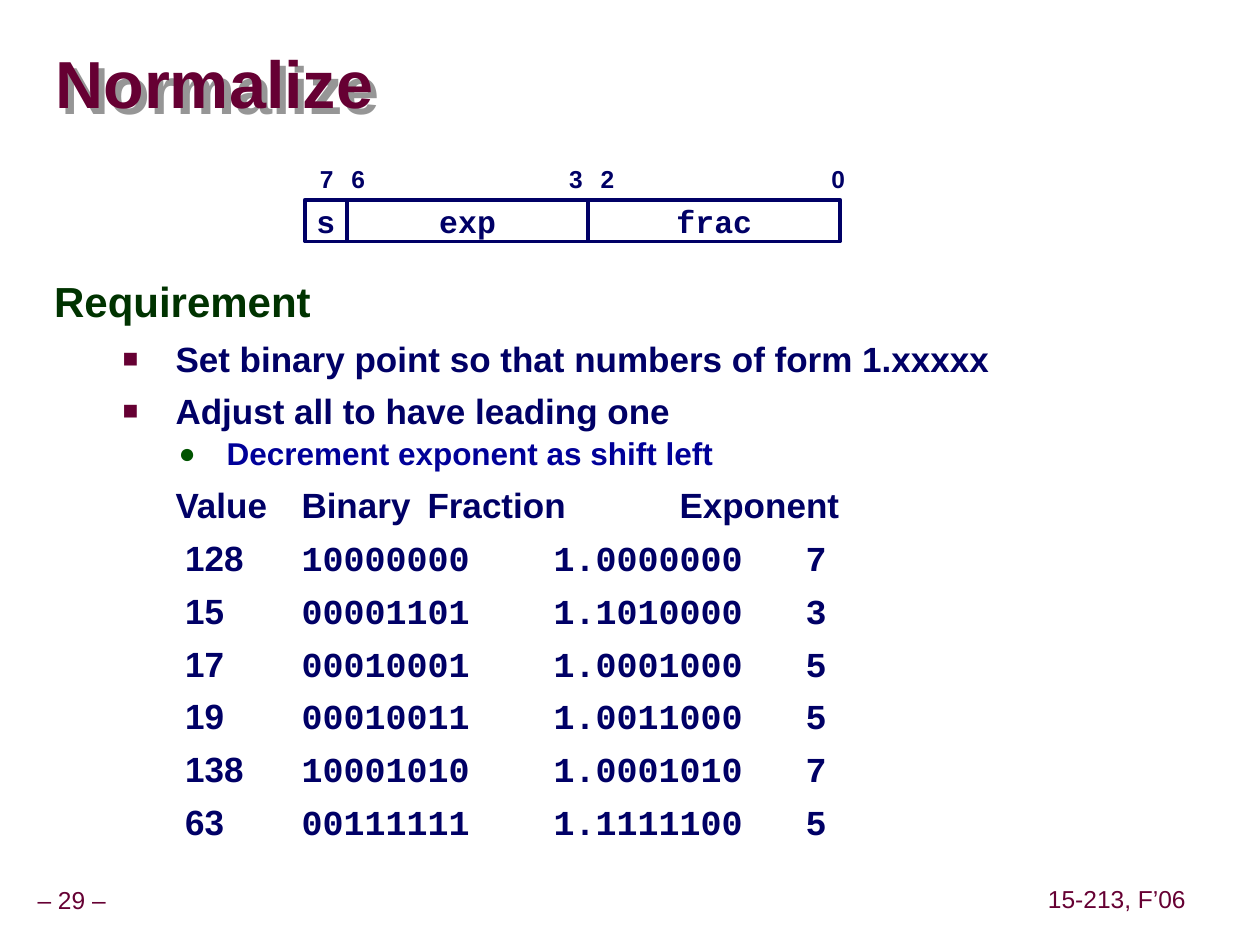
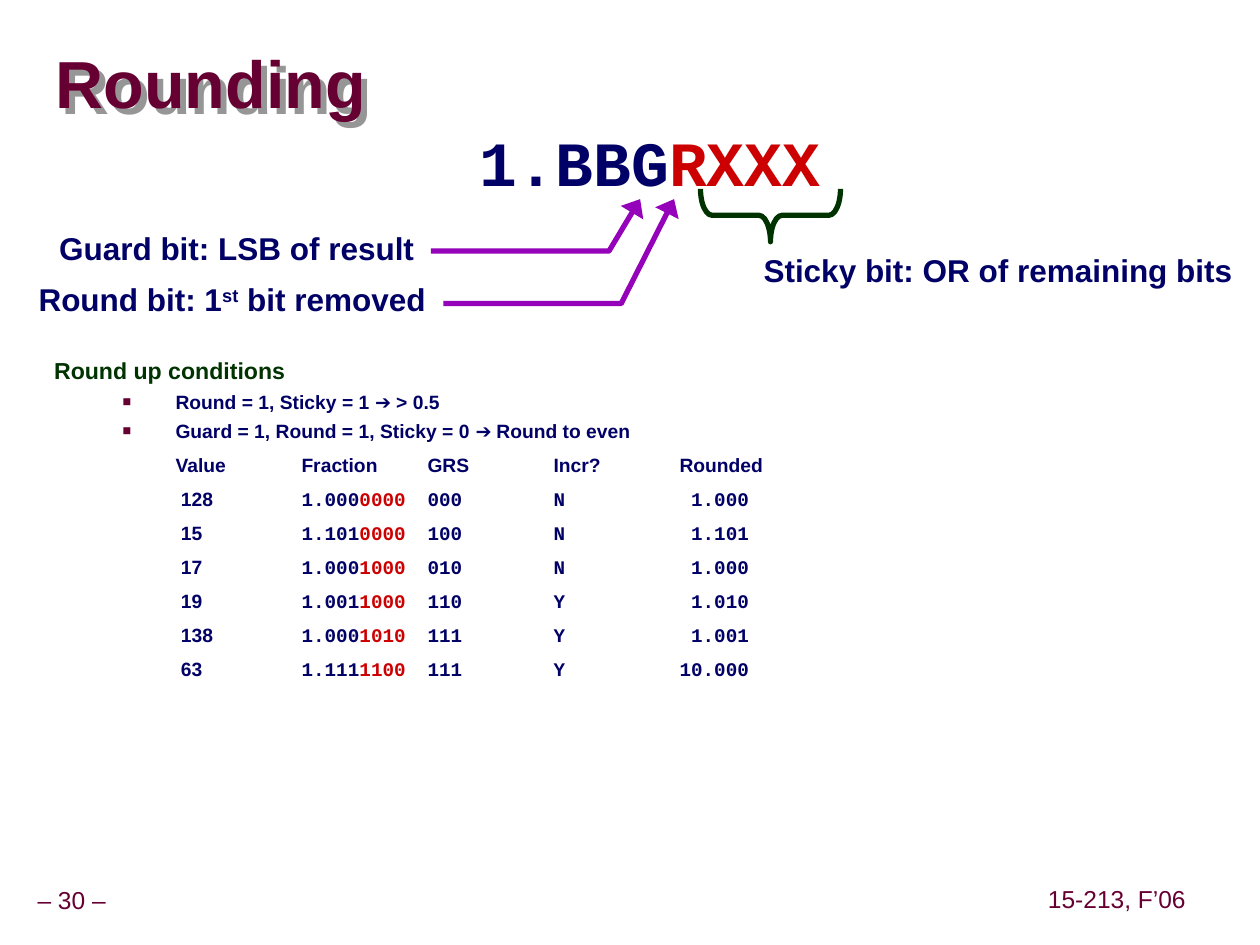
from lxml import etree
from pptx import Presentation
from pptx.dml.color import RGBColor
from pptx.enum import shapes, text
from pptx.oxml.ns import qn
from pptx.util import Pt

# Shared look
WINE, NAVY, GREEN, RED = "660033", "000066", "003300", "CC0000"
BLUE, LEAF, VIOLET, WHITE, GRAY = "000099", "005400", "9403B9", "FFFFFF", "969696"
SANS, MONO = "Arial", "Courier New"
LEFT, MID, RIGHT = text.PP_ALIGN.LEFT, text.PP_ALIGN.CENTER, text.PP_ALIGN.RIGHT
COURSE = "15-213, F’06"

# Slide 1: byte fields (label, width), bit numbers (digit, left), normalized values
FIELDS = [("s", 24), ("exp", 138), ("frac", 144)]
BITS = [("7", 175.7), ("6", 193.7), ("3", 318.2), ("2", 336.2), ("0", 468)]
GOALS = ["Set binary point so that numbers of form 1.xxxxx",
         "Adjust all to have leading one"]
STEP = "Decrement exponent as shift left"
NORM_HEAD = ["Value", "Binary", "Fraction", "Exponent"]
NORMS = [
    ("128", "10000000", "1.0000000", "7"),
    ("15", "00001101", "1.1010000", "3"),
    ("17", "00010001", "1.0001000", "5"),
    ("19", "00010011", "1.0011000", "5"),
    ("138", "10001010", "1.0001010", "7"),
    ("63", "00111111", "1.1111100", "5"),
]

# Slide 2: rounding rules, and rows of value, kept bits, cut bits, GRS, incr, rounded
RULES = ["Round = 1, Sticky = 1 ➔ > 0.5",
         "Guard = 1, Round = 1, Sticky = 0 ➔ Round to even"]
ROUND_HEAD = ["Value", "Fraction", "GRS", "Incr?", "Rounded"]
ROUNDS = [
    ("128", "1.000", "0000", "000", "N", " 1.000"),
    ("15", "1.101", "0000", "100", "N", " 1.101"),
    ("17", "1.000", "1000", "010", "N", " 1.000"),
    ("19", "1.001", "1000", "110", "Y", " 1.010"),
    ("138", "1.000", "1010", "111", "Y", " 1.001"),
    ("63", "1.111", "1100", "111", "Y", "10.000"),
]
ARROWS = [
    [(246.2, 143.5), (348, 143.5), (365.8, 113.8)],
    [(253.4, 173.5), (355, 173.5), (385.2, 113.8)],
]


def paint(hue):
    return RGBColor.from_string(hue)


def node(parent, tag, **attrs):
    return etree.SubElement(parent, qn(tag), {k: str(v) for k, v in attrs.items()})


def write(para, runs, size=18, hue=NAVY, font=SANS, bold=True, align=LEFT,
          line=1, before=0, indent=0, hang=0, mark=None):
    """Fill a paragraph; runs is a string or a list of (text, overrides)."""
    props = para._p.get_or_add_pPr()
    props.set("marL", str(Pt(indent)))
    props.set("indent", str(-Pt(hang)))
    props.set("defTabSz", str(Pt(72)))
    para.alignment, para.line_spacing = align, line
    para.space_before = Pt(before)
    if mark:
        sign, tint, share = mark
        node(node(props, "a:buClr"), "a:srgbClr", val=tint)
        node(props, "a:buSzPct", val=share * 1000)
        node(props, "a:buFont", typeface=SANS)
        node(props, "a:buChar", char=sign)
    else:
        node(props, "a:buNone")
    for words, own in ([(runs, {})] if isinstance(runs, str) else runs):
        run = para.add_run()
        run.text = words
        run.font.size, run.font.bold = Pt(size), bold
        run.font.name = own.get("font", font)
        run.font.color.rgb = paint(own.get("hue", hue))
        if "lift" in own:
            run._r.get_or_add_rPr().set("baseline", str(own["lift"] * 1000))


def setup(shape, pad=(3.6, 3.6), wrap=False, anchor=text.MSO_ANCHOR.TOP):
    frame = shape.text_frame
    frame.margin_left = frame.margin_right = Pt(pad[0])
    frame.margin_top = frame.margin_bottom = Pt(pad[1])
    frame.word_wrap, frame.vertical_anchor = wrap, anchor
    return frame


def label(slide, box, runs, pad=(3.6, 3.6), anchor=text.MSO_ANCHOR.TOP, **fmt):
    shape = slide.shapes.add_textbox(*map(Pt, box))
    write(setup(shape, pad, anchor=anchor).paragraphs[0], runs, **fmt)
    return shape


def body(slide, box, paras):
    frame = setup(slide.shapes.add_textbox(*map(Pt, box)), (7.2, 3.6), wrap=True)
    for i, (runs, fmt) in enumerate(paras):
        write(frame.add_paragraph() if i else frame.paragraphs[0], runs, **fmt)


def stroke(shape, hue, width):
    shape.shadow.inherit = False
    shape.line.color.rgb, shape.line.width = paint(hue), Pt(width)


def start(deck, title, number):
    """Add a slide with its shadowed title and footers."""
    slide = deck.slides.add_slide(deck.slide_layouts[6])
    mid = text.MSO_ANCHOR.MIDDLE
    foot = dict(size=14, hue=WINE, bold=False, align=MID, line=0.9, anchor=mid)
    label(slide, (5, 504, 72, 22.3), f"– {number} –", **foot)
    label(slide, (590, 503.3, 96.5, 22.3), COURSE, **foot)
    head = label(slide, (31.7, 19.4, 686, 61.2), title, pad=(0, 0), anchor=mid,
                 size=38, hue=WINE, line=0.87)
    head.text_frame.word_wrap = True
    glow = node(node(head._element.spPr, "a:effectLst"), "a:outerShdw",
                dist=Pt(5), dir=2700000, algn="ctr", rotWithShape=0)
    node(glow, "a:srgbClr", val=GRAY)
    return slide


def point(size, line):
    return dict(size=size, line=line, before=6.2, indent=69.4, hang=30.2,
                mark=("■", WINE, 75))


def row(size):
    return dict(size=size, before=6.2, indent=69.4)


def normalize(deck):
    slide = start(deck, "Normalize", 29)
    paras = [("Requirement", dict(size=24, hue=GREEN, line=0.85))]
    paras += [(goal, point(20, 1)) for goal in GOALS]
    paras.append((STEP, dict(size=18, hue=BLUE, line=0.97, before=2.2, indent=98.6,
                             hang=27.4, mark=("●", LEAF, 90))))
    paras.append(("\t".join(NORM_HEAD), row(20)))
    for value, *rest in NORMS:
        paras.append(([(f" {value}\t", {}), ("\t".join(rest), {"font": MONO})], row(20)))
    body(slide, (23.8, 158.4, 654.5, 321), paras)

    # Byte layout
    left = 174.2
    for name, width in FIELDS:
        cell = slide.shapes.add_shape(shapes.MSO_SHAPE.RECTANGLE,
                                      *map(Pt, (left, 114.2, width, 23.8)))
        cell.fill.solid()
        cell.fill.fore_color.rgb = paint(WHITE)
        stroke(cell, NAVY, 2)
        frame = setup(cell, (7.2, 3.6), anchor=text.MSO_ANCHOR.MIDDLE)
        write(frame.paragraphs[0], name, font=MONO, align=MID)
        left += width
    for digit, x in BITS:
        label(slide, (x, 90, 24, 24.5), digit, pad=(7.2, 3.6), size=14)


def rounding(deck):
    slide = start(deck, "Rounding", 30)
    paras = [("Round up conditions", dict(size=13.2, hue=GREEN, line=0.75))]
    paras += [(rule, point(11, 0.8)) for rule in RULES]
    paras.append(("\t".join(ROUND_HEAD), row(11)))
    for value, kept, cut, *rest in ROUNDS:
        paras.append(([(f" {value}\t", {}), (kept, {"font": MONO}),
                       (cut + "\t", {"font": MONO, "hue": RED}),
                       ("\t".join(rest), {"font": MONO})], row(11)))
    body(slide, (23.8, 203.8, 654.5, 275.8), paras)

    # Bit pattern and its labels, with room to stay on one line
    label(slide, (251.5, 72, 240, 46.1), [("1.BBG", {}), ("RXXX", {"hue": RED})],
          size=36, font=MONO, align=MID, line=0.9)
    label(slide, (10.4, 129.6, 230, 26.6), "Guard bit: LSB of result",
          align=RIGHT, line=0.9)
    label(slide, (1.9, 159.1, 245, 26.6),
          [("Round bit: 1", {}), ("st", {"lift": 30}), (" bit removed", {})],
          align=RIGHT, line=0.9)
    label(slide, (432.7, 142.6, 287, 26.6), "Sticky bit: OR of remaining bits", line=0.9)

    # Bent arrows
    for first, *rest in ARROWS:
        pen = slide.shapes.build_freeform(*map(Pt, first))
        pen.add_line_segments([(Pt(x), Pt(y)) for x, y in rest], close=False)
        arrow = pen.convert_to_shape()
        arrow.fill.background()
        stroke(arrow, VIOLET, 3)
        node(arrow.line._get_or_add_ln(), "a:tailEnd", type="triangle", w="lg", len="med")

    # Brace over the sticky bits
    brace = slide.shapes.add_shape(shapes.MSO_SHAPE.LEFT_BRACE,
                                   *map(Pt, (425.2, 83, 30.2, 80)))
    brace.rotation = 270
    brace.adjustments[0] = 0.22
    brace.fill.background()
    stroke(brace, GREEN, 3)


def main():
    deck = Presentation()
    deck.slide_width, deck.slide_height = Pt(720), Pt(540)
    normalize(deck)
    rounding(deck)
    deck.save("out.pptx")


if __name__ == "__main__":
    main()
